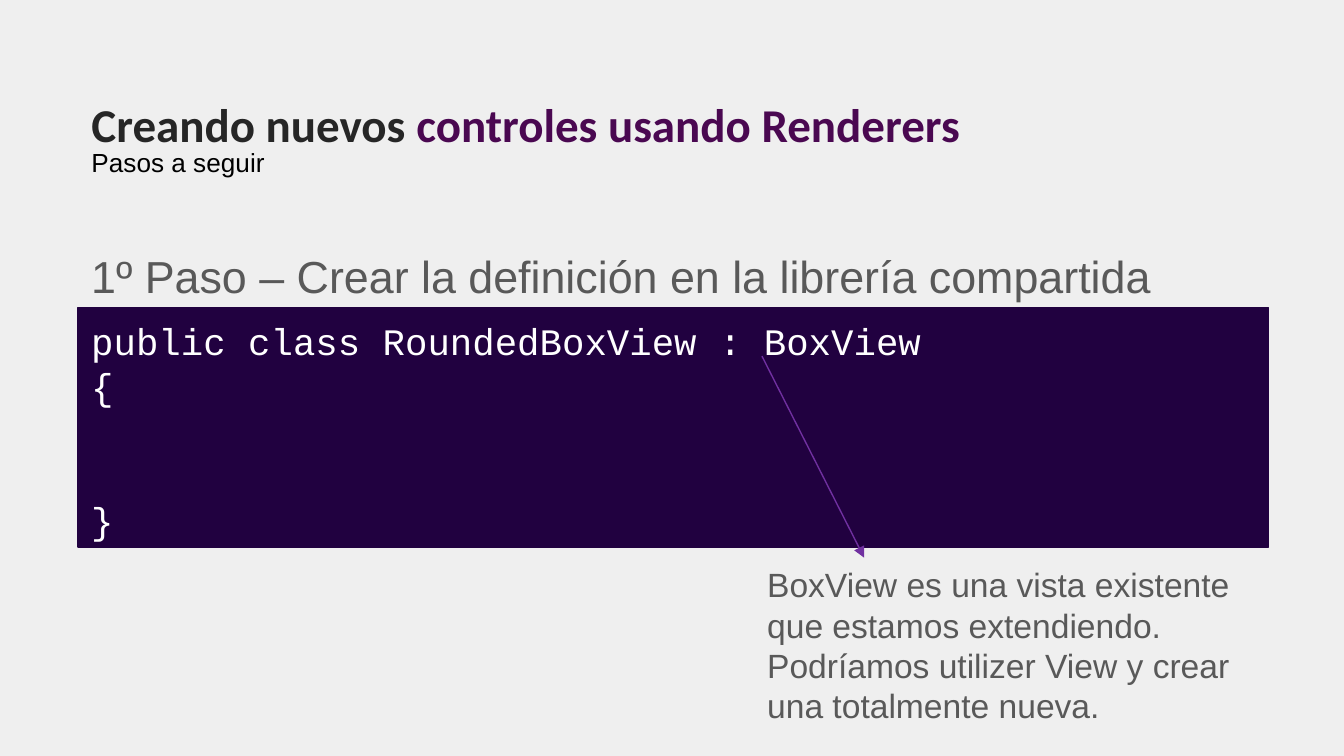
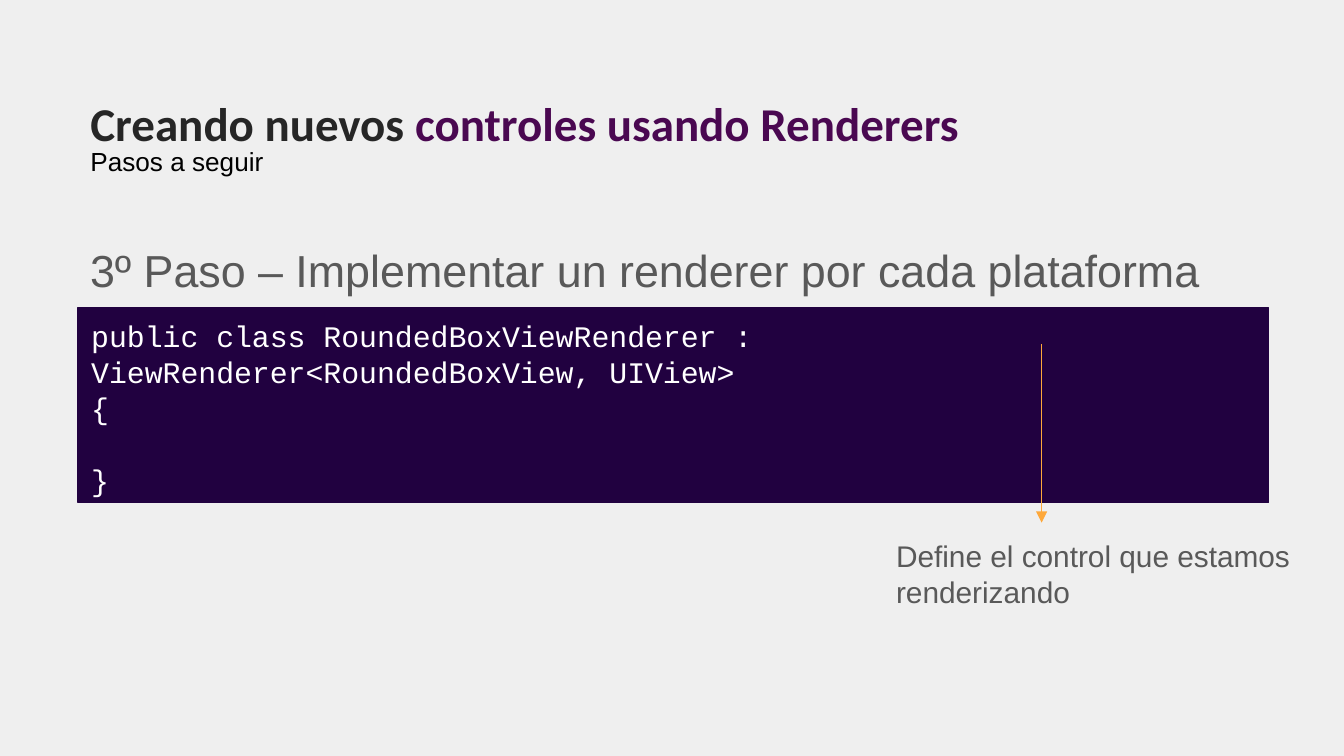
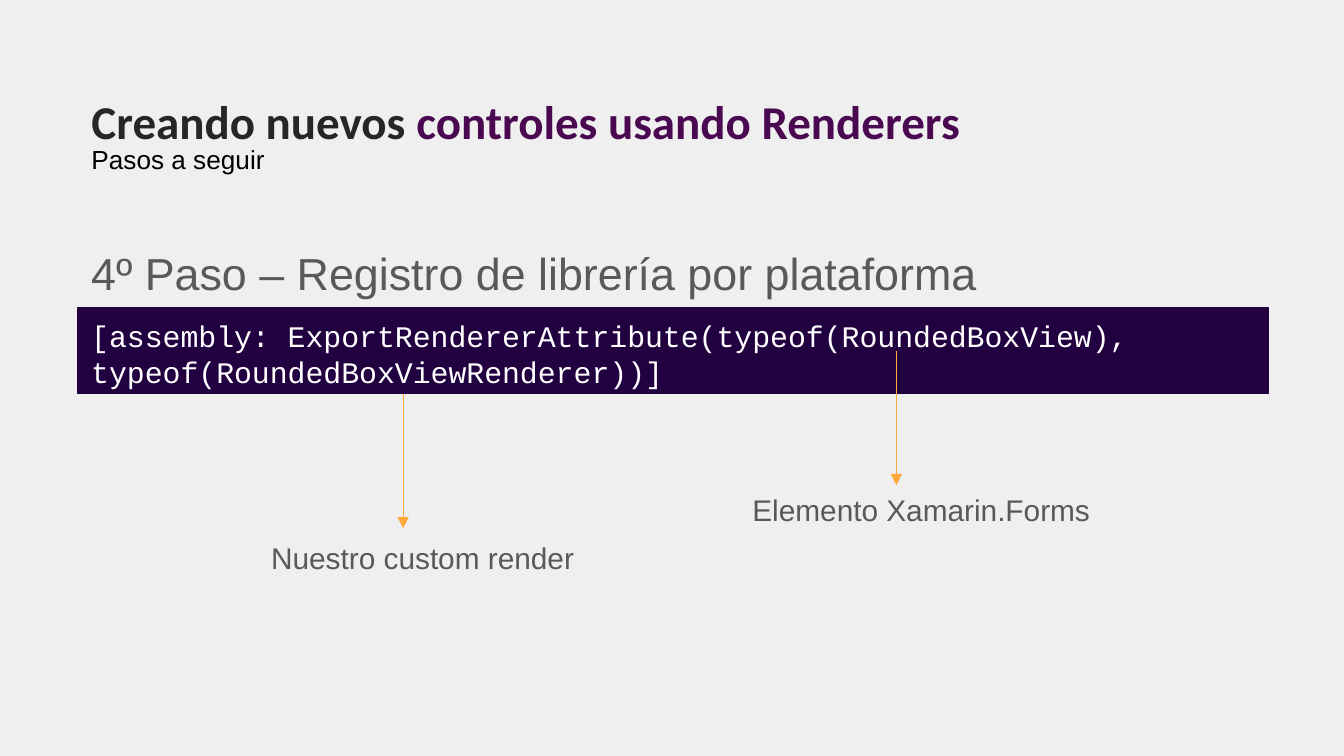
"""Build three slides on creating new controls with renderers."""
import pptx
import pptx.dml.color
import pptx.enum.shapes
import pptx.enum.text
import pptx.oxml.ns
import pptx.util
from lxml import etree

Pt = pptx.util.Pt
Anchor = pptx.enum.text.MSO_ANCHOR

BACKGROUND = "EFEFEF"
DARK = "262626"
PLUM = "4A0851"
BLACK = "000000"
GREY = "595959"
CODE_FILL = "210140"
WHITE = "FFFFFF"
PURPLE = "7030A0"
ORANGE = "FEA83A"

CODE_LEFT, CODE_TOP, CODE_WIDTH = 41.8, 164.9, 637.9
LINE_FACTOR = 1.2


def color(hex_string):
    """Turn a hex string into a colour."""
    return pptx.dml.color.RGBColor.from_string(hex_string)


def write(paragraph, text, size, font_name, hex_string):
    """Fill a paragraph with text in one format and even line spacing."""
    paragraph.text = text
    paragraph.alignment = pptx.enum.text.PP_ALIGN.LEFT
    paragraph.line_spacing = Pt(size * LINE_FACTOR)
    paragraph.font.size = Pt(size)
    paragraph.font.name = font_name
    paragraph.font.color.rgb = color(hex_string)


steps = [
    {
        "left": 41.8, "title_top": 47.5, "step_top": 129.6,
        "step": "1º Paso – Crear la definición en la librería compartida",
        "code_height": 128.2, "code_size": 20,
        "code": [("public class RoundedBoxView : BoxView", 0), ("{", 0), ("}", 2)],
        "arrows": [(408.2, 190.8, 463, 298.8, PURPLE)],
        "labels": [(403.9, 298.8, 295.2, 94.3, 18,
                    "BoxView es una vista existente que estamos extendiendo. "
                    "Podríamos utilizer View y crear una totalmente nueva.")],
    },
    {
        "left": 41.2, "title_top": 46.8, "step_top": 126.7,
        "step": "3º Paso – Implementar un renderer por cada plataforma",
        "code_height": 104.4, "code_size": 16,
        "code": [("public class RoundedBoxViewRenderer : ViewRenderer<RoundedBoxView, UIView>", 0),
                 ("{", 0), ("}", 1)],
        "arrows": [(558, 184.3, 558, 280, ORANGE)],
        "labels": [(473, 284.4, 228.2, 46, 16, "Define el control que estamos renderizando")],
    },
    {
        "left": 41.8, "title_top": 46, "step_top": 128.2,
        "step": "4º Paso – Registro de librería por plataforma",
        "code_height": 46, "code_size": 16,
        "code": [("[assembly: ExportRendererAttribute(typeof(RoundedBoxView), "
                  "typeof(RoundedBoxViewRenderer))]", 0)],
        "arrows": [(216, 211, 216, 283, ORANGE), (480.2, 187.9, 480.2, 259.9, ORANGE)],
        "labels": [(138.2, 285.8, 177.1, 46, 16, "Nuestro custom render"),
                   (396, 259.9, 198, 26.6, 16, "Elemento Xamarin.Forms")],
    },
]

presentation = pptx.Presentation()
presentation.slide_width = Pt(720)
presentation.slide_height = Pt(405)
master_fill = presentation.slide_master.background.fill
master_fill.solid()
master_fill.fore_color.rgb = color(BACKGROUND)

for step in steps:
    slide = presentation.slides.add_slide(presentation.slide_layouts[1])
    title = slide.shapes.title
    subtitle = slide.placeholders[1]
    headings = [(title, step["title_top"], 39.6, Anchor.TOP),
                (subtitle, step["title_top"] + 27.4, 23.8, Anchor.MIDDLE)]
    for shape, top, height, anchor in headings:
        shape.left, shape.top = Pt(step["left"]), Pt(top)
        shape.width, shape.height = Pt(CODE_WIDTH), Pt(height)
        frame = shape.text_frame
        frame.word_wrap = True
        frame.auto_size = pptx.enum.text.MSO_AUTO_SIZE.NONE
        frame.vertical_anchor = anchor
        frame.margin_left = frame.margin_right = Pt(7.2)
        frame.margin_top = frame.margin_bottom = Pt(7.2)

    paragraph = title.text_frame.paragraphs[0]
    paragraph.alignment = pptx.enum.text.PP_ALIGN.LEFT
    paragraph.line_spacing = 0.9
    for text, hex_string in [("Creando nuevos ", DARK), ("controles usando Renderers", PLUM)]:
        run = paragraph.add_run()
        run.text = text
        run.font.color.rgb = color(hex_string)
    paragraph.font.size = Pt(25.2)
    paragraph.font.name = "Calibri"
    paragraph.font.bold = True

    paragraph = subtitle.text_frame.paragraphs[0]
    properties = paragraph._p.get_or_add_pPr()
    properties.set("marL", "0")
    properties.set("indent", "0")
    etree.SubElement(properties, pptx.oxml.ns.qn("a:buNone"))
    write(paragraph, "Pasos a seguir", 14, "Arial", BLACK)
    paragraph.line_spacing = 1.0
    paragraph.space_before = Pt(0)

    code_box = slide.shapes.add_shape(
        pptx.enum.shapes.MSO_SHAPE.RECTANGLE,
        Pt(CODE_LEFT), Pt(CODE_TOP), Pt(CODE_WIDTH), Pt(step["code_height"]))
    code_box.shadow.inherit = False
    code_box.fill.solid()
    code_box.fill.fore_color.rgb = color(CODE_FILL)
    code_box.line.color.rgb = color(CODE_FILL)
    code_box.line.width = Pt(0.75)
    frame = code_box.text_frame
    frame.word_wrap = True
    frame.vertical_anchor = Anchor.TOP
    frame.margin_top = Pt(5.4)
    frame.margin_bottom = Pt(1.8)
    for index, (text, skipped_lines) in enumerate(step["code"]):
        paragraph = frame.add_paragraph() if index else frame.paragraphs[0]
        write(paragraph, text, step["code_size"], "Courier New", WHITE)
        if skipped_lines:
            paragraph.space_before = Pt(skipped_lines * step["code_size"] * LINE_FACTOR)

    step_label = (step["left"], step["step_top"], 619.2, 36, 24, step["step"])
    for left, top, width, height, size, text in [step_label] + step["labels"]:
        label = slide.shapes.add_textbox(Pt(left), Pt(top), Pt(width), Pt(height))
        label.text_frame.word_wrap = True
        write(label.text_frame.paragraphs[0], text, size, "Arial", GREY)

    for start_x, start_y, end_x, end_y, hex_string in step["arrows"]:
        arrow = slide.shapes.add_connector(
            pptx.enum.shapes.MSO_CONNECTOR.STRAIGHT,
            Pt(start_x), Pt(start_y), Pt(end_x), Pt(end_y))
        arrow.line.color.rgb = color(hex_string)
        arrow.line.width = Pt(0.75)
        tail = etree.SubElement(arrow.line._get_or_add_ln(), pptx.oxml.ns.qn("a:tailEnd"))
        tail.set("type", "triangle")
        etree.SubElement(arrow._element.spPr, pptx.oxml.ns.qn("a:effectLst"))

presentation.save("out.pptx")
